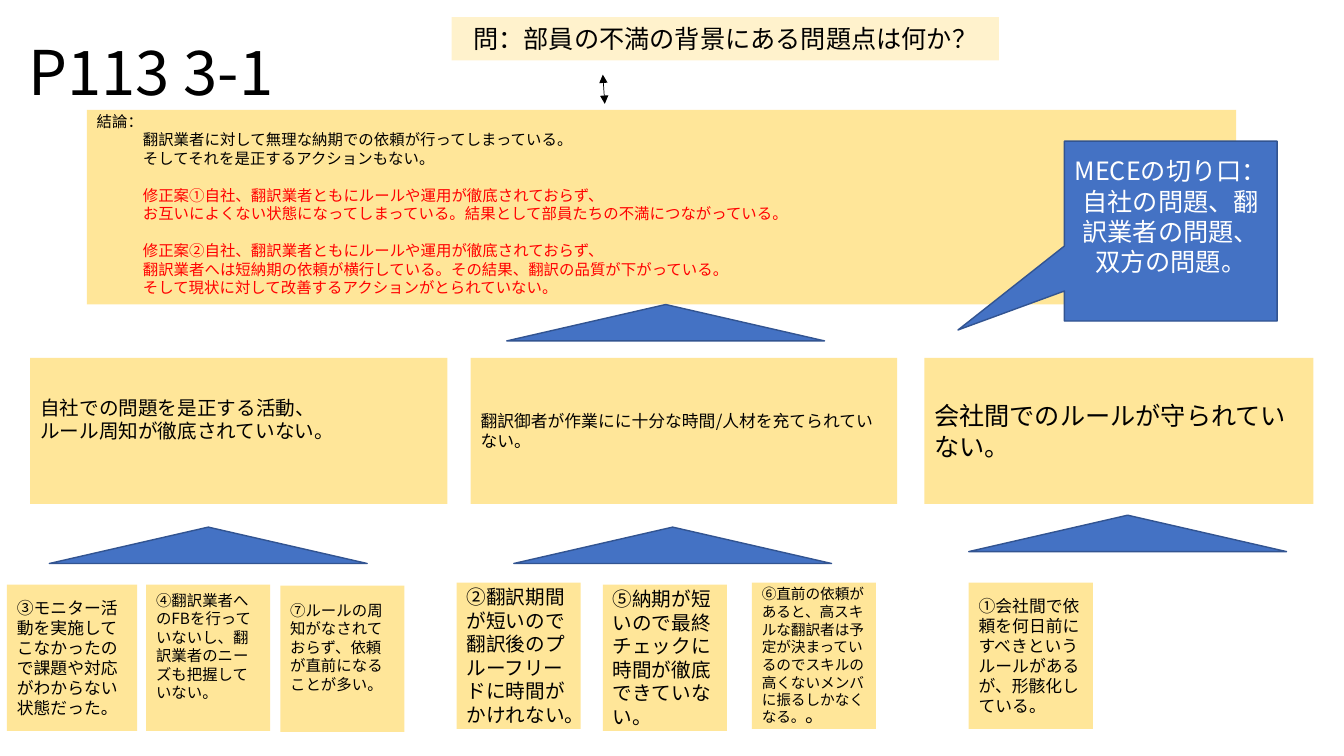
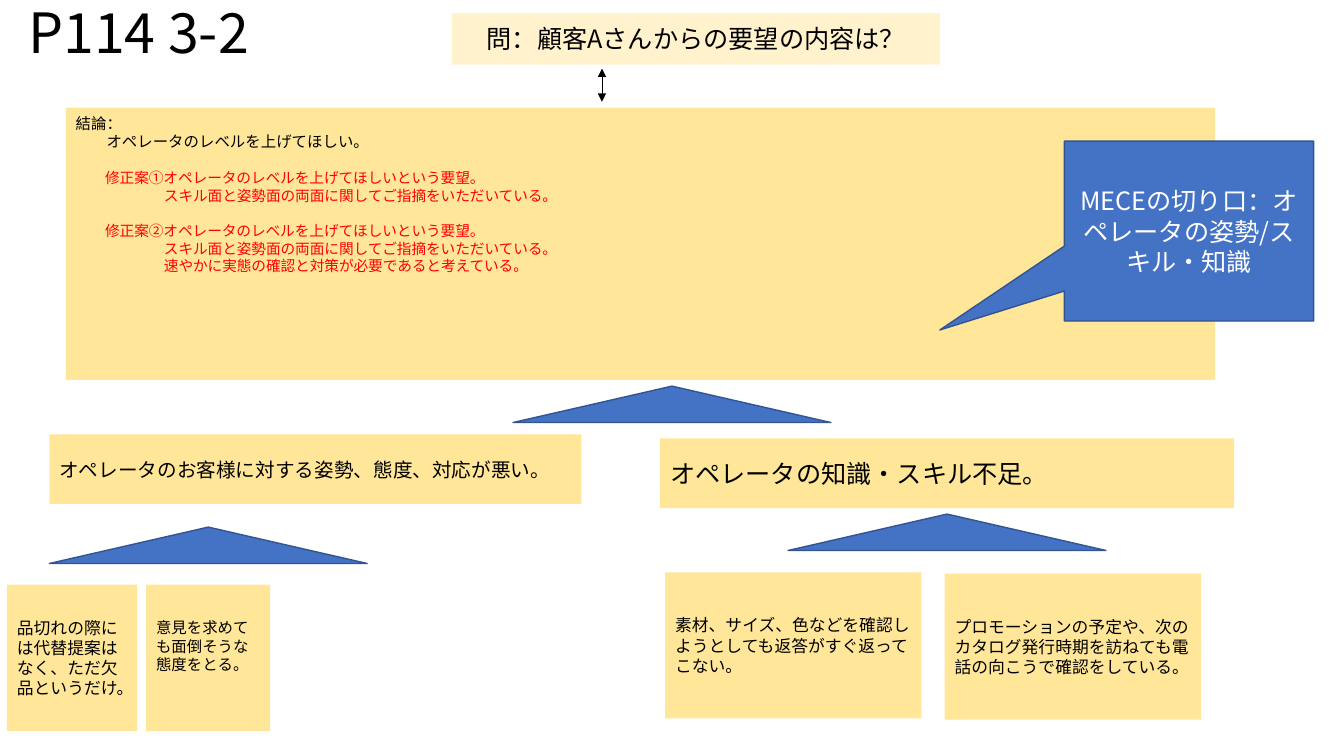
from lxml import etree
from pptx import Presentation
from pptx.dml.color import RGBColor
from pptx.enum.shapes import MSO_CONNECTOR, MSO_SHAPE
from pptx.enum.text import MSO_ANCHOR, MSO_AUTO_SIZE, PP_ALIGN
from pptx.oxml.ns import qn
from pptx.util import Pt

RECT = MSO_SHAPE.RECTANGLE
TRIANGLE = MSO_SHAPE.ISOSCELES_TRIANGLE
CALLOUT = MSO_SHAPE.RECTANGULAR_CALLOUT
STRAIGHT = MSO_CONNECTOR.STRAIGHT
LEFT, CENTER = PP_ALIGN.LEFT, PP_ALIGN.CENTER
TOP, MIDDLE = MSO_ANCHOR.TOP, MSO_ANCHOR.MIDDLE
NO_FIT = MSO_AUTO_SIZE.NONE

FONT = "Noto Sans CJK JP"
BLACK, WHITE, RED = "000000", "FFFFFF", "FF0000"
CREAM, YELLOW = "FFF2CC", "FFE699"
BLUE, NAVY = "4472C4", "325491"
LINE_HEIGHT = 1.2
LEAF_W, LEAF_H = 88.6, 104.4


def color(value):
    return RGBColor.from_string(value)


def add_run(p, text, size=18, fg=BLACK):
    r = p.add_run()
    r.text = text
    r.font.size = Pt(size)
    r.font.name = FONT
    r.font.color.rgb = color(fg)
    etree.SubElement(r._r.get_or_add_rPr(), qn("a:ea"), typeface=FONT)


def write(p, text, size=18, fg=BLACK, align=LEFT, indent=0, before=0):
    p.alignment = align
    p.line_spacing = Pt(size * LINE_HEIGHT)
    p.space_before = Pt(before)
    if indent:
        pPr = p._p.get_or_add_pPr()
        pPr.set("marL", str(Pt(indent)))
        pPr.set("indent", "0")
    add_run(p, text, size, fg)


def add_shape(s, kind, x, y, w, h, fill, line=None):
    sp = s.shapes.add_shape(kind, Pt(x), Pt(y), Pt(w), Pt(h))
    sp.shadow.inherit = False
    sp.fill.solid()
    sp.fill.fore_color.rgb = color(fill)
    if line:
        sp.line.color.rgb = color(line)
        sp.line.width = Pt(1)
    else:
        sp.line.fill.background()
    return sp


def fill_text(sp, lines, anchor=MIDDLE, top=3.6, bottom=3.6, **fmt):
    tf = sp.text_frame
    tf.word_wrap = True
    tf.vertical_anchor = anchor
    tf.margin_top, tf.margin_bottom = Pt(top), Pt(bottom)
    for i, line in enumerate(lines):
        text, own = line if isinstance(line, tuple) else (line, {})
        p = tf.paragraphs[0] if i == 0 else tf.add_paragraph()
        write(p, text, **{**fmt, **own})


def add_box(s, x, y, w, h, *lines, fill=YELLOW, **fmt):
    sp = add_shape(s, RECT, x, y, w, h, fill)
    fill_text(sp, lines, **fmt)
    return sp


def add_leaf(s, x, y, text, size, w=LEAF_W, **fmt):
    return add_box(s, x, y, w, LEAF_H, text, size=size, **fmt)


def add_triangle(s, x, y):
    add_shape(s, TRIANGLE, x, y, 227, 26, BLUE, NAVY)


def add_callout(s, w, text, **fmt):
    sp = add_shape(s, CALLOUT, 760.3, 100.8, w, 128.5, BLUE, NAVY)
    sp.adjustments[0], sp.adjustments[1] = -1.0, 0.55
    fill_text(sp, [text], fg=WHITE, align=CENTER, **fmt)


def add_double_arrow(s, x1, y1, x2, y2):
    c = s.shapes.add_connector(STRAIGHT, Pt(x1), Pt(y1), Pt(x2), Pt(y2))
    c.line.color.rgb = color(BLACK)
    c.line.width = Pt(0.5)
    ln = c.line._get_or_add_ln()
    for end in ("a:headEnd", "a:tailEnd"):
        etree.SubElement(ln, qn(end), type="triangle")
    etree.SubElement(c._element.spPr, qn("a:effectLst"))


def add_slide(prs, title, size, height):
    s = prs.slides.add_slide(prs.slide_layouts[5])
    sp = s.shapes.title
    sp.left, sp.top, sp.width, sp.height = Pt(13), Pt(1.5), Pt(249), Pt(height)
    tf = sp.text_frame
    tf.word_wrap = True
    tf.auto_size = NO_FIT
    tf.vertical_anchor = MIDDLE
    p = tf.paragraphs[0]
    write(p, title, size)
    p.line_spacing = 0.9
    return s


def build_complaints(prs):
    s = add_slide(prs, "P113 3-1", 44, 104.4)
    add_box(s, 322.6, 12.2, 391, 31, "問：部員の不満の背景にある問題点は何か？",
            fill=CREAM, align=CENTER)
    add_double_arrow(s, 430.6, 53.3, 432, 74.2)
    body = {"indent": 33}
    red = {**body, "fg": RED}
    red_first = {**red, "before": 13.2}
    add_box(
        s, 62, 78.5, 821, 139,
        "結論：",
        ("翻訳業者に対して無理な納期での依頼が行ってしまっている。", body),
        ("そしてそれを是正するアクションもない。", body),
        ("修正案①自社、翻訳業者ともにルールや運用が徹底されておらず、", red_first),
        ("お互いによくない状態になってしまっている。結果として部員たちの不満につながっている。", red),
        ("修正案②自社、翻訳業者ともにルールや運用が徹底されておらず、", red_first),
        ("翻訳業者へは短納期の依頼が横行している。その結果、翻訳の品質が下がっている。", red),
        ("そして現状に対して改善するアクションがとられていない。", red),
        size=11, anchor=TOP, top=1.5)

    add_box(s, 21.6, 255.6, 298, LEAF_H, "自社での問題を是正する活動、",
            "ルール周知が徹底されていない。", size=14, bottom=20)
    add_box(s, 336.2, 255.6, 304.6, LEAF_H,
            "翻訳御者が作業にに十分な時間/人材を充てられていない。", size=12)
    add_box(s, 660.2, 255.6, 278, LEAF_H, "会社間でのルールが守られていない。")
    for x, y in ((362, 217.5), (35.3, 376.5), (367, 376.5), (692, 368)):
        add_triangle(s, x, y)

    add_leaf(s, 5, 417.6, "③モニター活動を実施してこなかったので課題や対応がわからない状態だった。", 12, w=93)
    add_leaf(s, 104.4, 417.6, "④翻訳業者へのFBを行っていないし、翻訳業者のニーズも把握していない。", 11, bottom=20)
    add_leaf(s, 200.2, 418.3, "⑦ルールの周知がなされておらず、依頼が直前になることが多い。", 11, bottom=20)
    add_leaf(s, 326.2, 416.2, "②翻訳期間が短いので翻訳後のプルーフリードに時間がかけれない。", 14)
    add_leaf(s, 430.6, 417.6, "⑤納期が短いので最終チェックに時間が徹底できていない。", 14)
    sp = add_leaf(s, 537.1, 416.2, "⑥直前の依頼があると、高スキルな翻訳者は予定が決まっているのでスキルの高くないメンバに振るしかなくなる。", 10.5)
    add_run(sp.text_frame.paragraphs[0], "。", 14)
    add_leaf(s, 692, 416.2, "①会社間で依頼を何日前にすべきというルールがあるが、形骸化している。", 12)
    add_callout(s, 152, "MECEの切り口：自社の問題、翻訳業者の問題、双方の問題。", bottom=25)


def build_requests(prs):
    s = add_slide(prs, "P114 3-2", 39.6, 47.5)
    add_box(s, 322.6, 9.4, 349, 36.7, "問：顧客Aさんからの要望の内容は？",
            fill=CREAM, align=CENTER)
    add_double_arrow(s, 430, 49, 430, 72.7)
    red_first = {"fg": RED, "indent": 21, "before": 12.6}
    red = {"fg": RED, "indent": 63}
    add_box(
        s, 47, 77, 821, 194.4,
        ("結論：", {"size": 11}),
        ("オペレータのレベルを上げてほしい。", {"size": 11, "indent": 22}),
        ("修正案①オペレータのレベルを上げてほしいという要望。", red_first),
        ("スキル面と姿勢面の両面に関してご指摘をいただいている。", red),
        ("修正案②オペレータのレベルを上げてほしいという要望。", red_first),
        ("スキル面と姿勢面の両面に関してご指摘をいただいている。", red),
        ("速やかに実態の確認と対策が必要であると考えている。", red),
        size=10.5, anchor=TOP, top=4.5)

    add_box(s, 35.3, 310.3, 380, 49.7,
            "オペレータのお客様に対する姿勢、態度、対応が悪い。", size=14)
    add_box(s, 471.6, 313.2, 410, 49.7, "オペレータの知識・スキル不足。")
    for x, y in ((366.5, 275.8), (35.3, 376.5), (563, 367.2)):
        add_triangle(s, x, y)

    add_leaf(s, 5, 417.6, "品切れの際には代替提案はなく、ただ欠品というだけ。", 12, w=93)
    add_leaf(s, 104.4, 417.6, "意見を求めても面倒そうな態度をとる。", 11, bottom=20)
    add_leaf(s, 475.2, 408.8, "素材、サイズ、色などを確認しようとしても返答がすぐ返ってこない。", 12, w=183)
    add_leaf(s, 674.8, 409.7, "プロモーションの予定や、次のカタログ発行時期を訪ねても電話の向こうで確認をしている。", 12, w=183)
    add_callout(s, 178, "MECEの切り口：オペレータの姿勢/スキル・知識")


def main():
    prs = Presentation()
    prs.slide_width, prs.slide_height = Pt(960), Pt(540)
    build_complaints(prs)
    build_requests(prs)
    prs.save("out.pptx")


if __name__ == "__main__":
    main()
